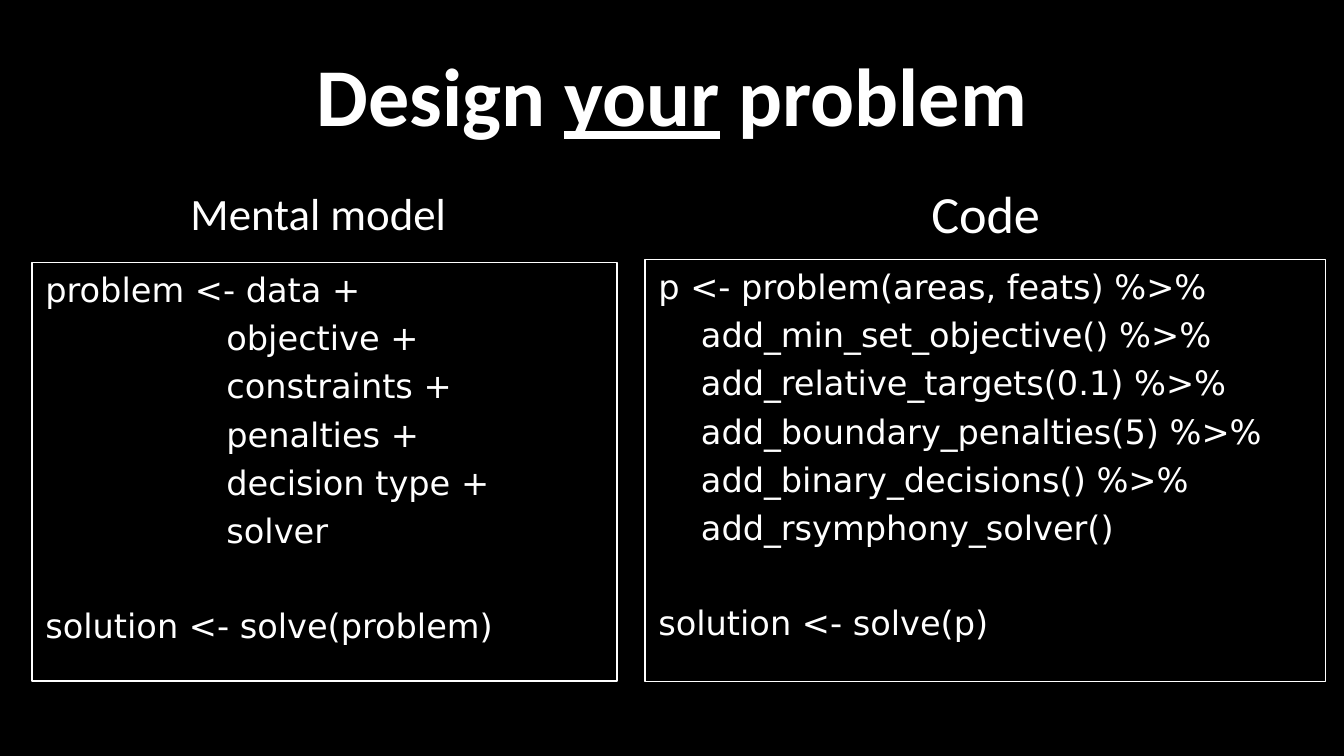
"""Build the slide that sets a mental model beside its code."""
from pptx import Presentation
from pptx.dml.color import RGBColor
from pptx.enum.shapes import MSO_SHAPE
from pptx.enum.text import MSO_ANCHOR, MSO_AUTO_SIZE, PP_ALIGN
from pptx.util import Pt


def rgb(color):
    return RGBColor.from_string(color)


def add_text(p, text, size=18, font="DejaVu Sans", color="FFFFFF", bold=False, underline=False):
    r = p.add_run()
    r.text = text
    r.font.size = Pt(size)
    r.font.name = font
    r.font.bold = bold
    r.font.underline = underline
    r.font.color.rgb = rgb(color)


prs = Presentation()
prs.slide_width, prs.slide_height = Pt(720), Pt(405)
s = prs.slides.add_slide(prs.slide_layouts[6])
s.background.fill.solid()
s.background.fill.fore_color.rgb = rgb("000000")

INDENT = " " * 17
mental_model = [
    "problem <- data +",
    *[INDENT + part for part in (
        "objective +", "constraints +", "penalties +", "decision type +", "solver")],
    "solution <- solve(problem)",
]
code = [
    "p <- problem(areas, feats) %>%",
    "    add_min_set_objective() %>%",
    "    add_relative_targets(0.1) %>%",
    "    add_boundary_penalties(5) %>%",
    "    add_binary_decisions() %>%",
    "    add_rsymphony_solver()",
    "solution <- solve(p)",
]
LINE_GAP, SOLUTION_GAP = 4.2, 29.4

panels = [
    (code, (345.6, 139, 364.4, 226)),
    (mental_model, (17.2, 140.6, 313.3, 224.4)),
]
for lines, box in panels:
    sp = s.shapes.add_shape(MSO_SHAPE.RECTANGLE, *[Pt(v) for v in box])
    sp.shadow.inherit = False
    sp.fill.background()
    sp.line.color.rgb = rgb("FFFFFF")
    sp.line.width = Pt(0.75)
    tf = sp.text_frame
    tf.word_wrap = True
    tf.vertical_anchor = MSO_ANCHOR.TOP
    for i, line in enumerate(lines):
        p = tf.add_paragraph() if i else tf.paragraphs[0]
        p.alignment = PP_ALIGN.LEFT
        if i:
            p.space_before = Pt(SOLUTION_GAP if line.startswith("solution") else LINE_GAP)
        add_text(p, line)

headings = [
    ("Code", 28, (491.8, 93.6, 73.4, 41)),
    ("Mental model", 24, (95, 95.8, 158.4, 36)),
]
for text, size, box in headings:
    sp = s.shapes.add_textbox(*[Pt(v) for v in box])
    tf = sp.text_frame
    tf.word_wrap = False
    tf.auto_size = MSO_AUTO_SIZE.SHAPE_TO_FIT_TEXT
    add_text(tf.paragraphs[0], text, size=size, font="Calibri")

sp = s.shapes.add_textbox(Pt(36), Pt(16.5), Pt(648), Pt(67.5))
tf = sp.text_frame
tf.word_wrap = True
tf.vertical_anchor = MSO_ANCHOR.MIDDLE
p = tf.paragraphs[0]
p.alignment = PP_ALIGN.CENTER
for text in ("Design ", "your", " problem"):
    add_text(p, text, size=44, font="Calibri", bold=True, underline=text == "your")

prs.save("out.pptx")
